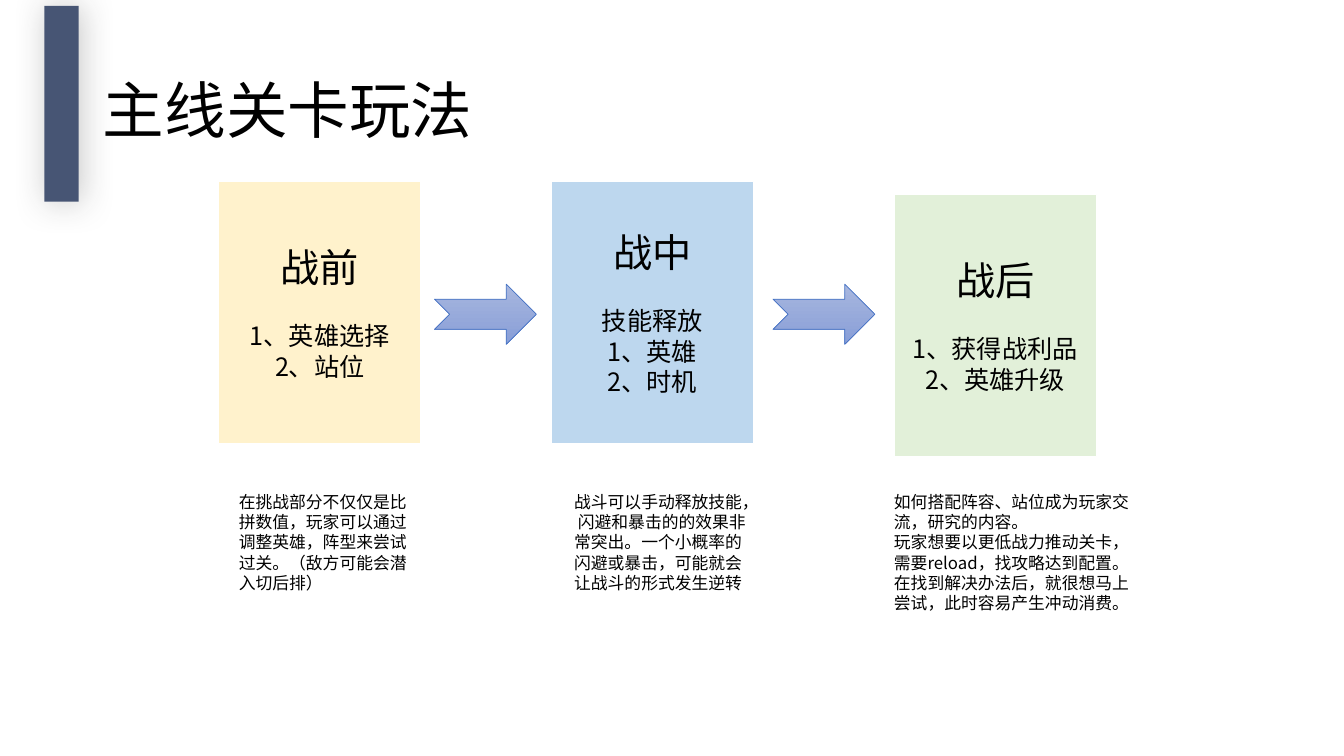
from dataclasses import dataclass

from lxml import etree
from pptx import Presentation
from pptx.dml.color import RGBColor
from pptx.enum.shapes import MSO_SHAPE as SHAPE
from pptx.enum.text import MSO_ANCHOR as ANCHOR, MSO_AUTO_SIZE as AUTO, PP_ALIGN as ALIGN
from pptx.oxml import parse_xml
from pptx.oxml.ns import qn
from pptx.util import Cm, Pt


@dataclass(frozen=True)
class Theme:
    font: str = "Noto Sans CJK SC"
    text: str = "000000"
    white: str = "FFFFFF"
    bar: str = "475574"
    shadow: str = "BFBFBF"
    before: str = "FFF2CC"
    during: str = "BDD7EE"
    after: str = "E2F0D9"
    arrow_line: str = "4472C4"
    arrow_stops: tuple = ("A8B7DF", "889ED7")
    title_size: int = 44
    heading_size: int = 28
    item_size: int = 18
    note_size: int = 12
    heading_gap: float = 21.6


T = Theme()
rgb = RGBColor.from_string

# Boxes are left, top, width, height in cm
TITLE_BOX = (2.34, 1.02, 29.21, 3.68)
BAR_BOX = (1.12, 0.15, 0.86, 4.93)
ARROW_BOXES = [(x, 7.16, 2.57, 1.52) for x in (10.95, 19.48)]
CARD_W, CARD_H = 5.1, 6.6
NOTE_TOP = 12.27

# Card left, top, fill, heading, items
CARDS = [
    (5.51, 4.57, T.before, "战前", ["1、英雄选择", "2、站位"]),
    (13.89, 4.57, T.during, "战中", ["技能释放", "1、英雄", "2、时机"]),
    (22.53, 4.9, T.after, "战后", ["1、获得战利品", "2、英雄升级"]),
]

# Note left, width, height, paragraphs
NOTES = [
    (5.77, 4.85, 2.82,
     ["在挑战部分不仅仅是比拼数值，玩家可以通过调整英雄，阵型来尝试过关。（敌方可能会潜入切后排）"]),
    (14.22, 4.85, 2.82,
     ["战斗可以手动释放技能， 闪避和暴击的的效果非常突出。一个小概率的闪避或暴击，可能就会让战斗的形式发生逆转"]),
    (22.28, 6.53, 3.33,
     ["如何搭配阵容、站位成为玩家交流，研究的内容。",
      "玩家想要以更低战力推动关卡，需要reload，找攻略达到配置。"
      "在找到解决办法后，就很想马上尝试，此时容易产生冲动消费。"]),
]


def cm_box(box):
    return [Cm(v) for v in box]


def add_run(p, text, size):
    r = p.add_run()
    r.text = text
    r.font.size = Pt(size)
    r.font.name = T.font
    r.font.color.rgb = rgb(T.text)
    ea = etree.SubElement(r.font._element, qn("a:ea"))
    ea.set("typeface", T.font)


def add_lines(tf, lines, align):
    """Write (text, size, space before) lines, one paragraph each."""
    for i, (text, size, gap) in enumerate(lines):
        p = tf.add_paragraph() if i else tf.paragraphs[0]
        p.alignment = align
        p.space_before = Pt(gap)
        add_run(p, text, size)


def add_title(s, box, text):
    sp = s.shapes.title
    sp.left, sp.top, sp.width, sp.height = cm_box(box)
    tf = sp.text_frame
    tf.word_wrap = True
    tf.auto_size = AUTO.NONE
    tf.vertical_anchor = ANCHOR.MIDDLE
    add_lines(tf, [(text, T.title_size, 0)], ALIGN.LEFT)
    tf.paragraphs[0].line_spacing = 0.9


def add_bar(s, box):
    sp = s.shapes.add_shape(SHAPE.ROUNDED_RECTANGLE, *cm_box(box))
    sp.adjustments[0] = 0
    sp.fill.solid()
    sp.fill.fore_color.rgb = rgb(T.bar)
    sp.line.fill.background()
    # Soft shadow
    sp._element.spPr.append(parse_xml(
        '<a:effectLst xmlns:a="http://schemas.openxmlformats.org/drawingml/2006/main">'
        f'<a:outerShdw blurRad="{Pt(24)}" dist="{Pt(2)}" dir="0" algn="ctr" rotWithShape="0">'
        f'<a:srgbClr val="{T.shadow}"><a:alpha val="86000"/></a:srgbClr>'
        '</a:outerShdw></a:effectLst>'))


def add_card(s, box, fill, heading, items):
    sp = s.shapes.add_shape(SHAPE.RECTANGLE, *cm_box(box))
    sp.shadow.inherit = False
    sp.fill.solid()
    sp.fill.fore_color.rgb = rgb(fill)
    sp.line.color.rgb = rgb(T.white)
    sp.line.width = Pt(1)
    tf = sp.text_frame
    tf.word_wrap = True
    tf.vertical_anchor = ANCHOR.MIDDLE
    lines = [(heading, T.heading_size, 0)]
    lines += [(item, T.item_size, 0 if i else T.heading_gap) for i, item in enumerate(items)]
    add_lines(tf, lines, ALIGN.CENTER)


def add_arrow(s, box):
    sp = s.shapes.add_shape(SHAPE.NOTCHED_RIGHT_ARROW, *cm_box(box))
    sp.shadow.inherit = False
    sp.fill.gradient()
    sp.fill.gradient_angle = 270
    for stop, pos, color in zip(sp.fill.gradient_stops, (0, 1), T.arrow_stops):
        stop.position = pos
        stop.color.rgb = rgb(color)
    sp.line.color.rgb = rgb(T.arrow_line)
    sp.line.width = Pt(0.5)


def add_note(s, box, texts):
    tf = s.shapes.add_textbox(*cm_box(box)).text_frame
    tf.word_wrap = True
    tf.auto_size = AUTO.SHAPE_TO_FIT_TEXT
    add_lines(tf, [(text, T.note_size, 0) for text in texts], ALIGN.LEFT)


def main():
    prs = Presentation()
    prs.slide_width, prs.slide_height = Cm(33.87), Cm(19.05)
    s = prs.slides.add_slide(prs.slide_layouts[5])

    # Title with side bar
    add_title(s, TITLE_BOX, "主线关卡玩法")
    add_bar(s, BAR_BOX)

    # Battle stages
    for left, top, fill, heading, items in CARDS:
        add_card(s, (left, top, CARD_W, CARD_H), fill, heading, items)
    for box in ARROW_BOXES:
        add_arrow(s, box)

    # Notes under the stages
    for left, width, height, texts in NOTES:
        add_note(s, (left, NOTE_TOP, width, height), texts)

    prs.save("out.pptx")


if __name__ == "__main__":
    main()
